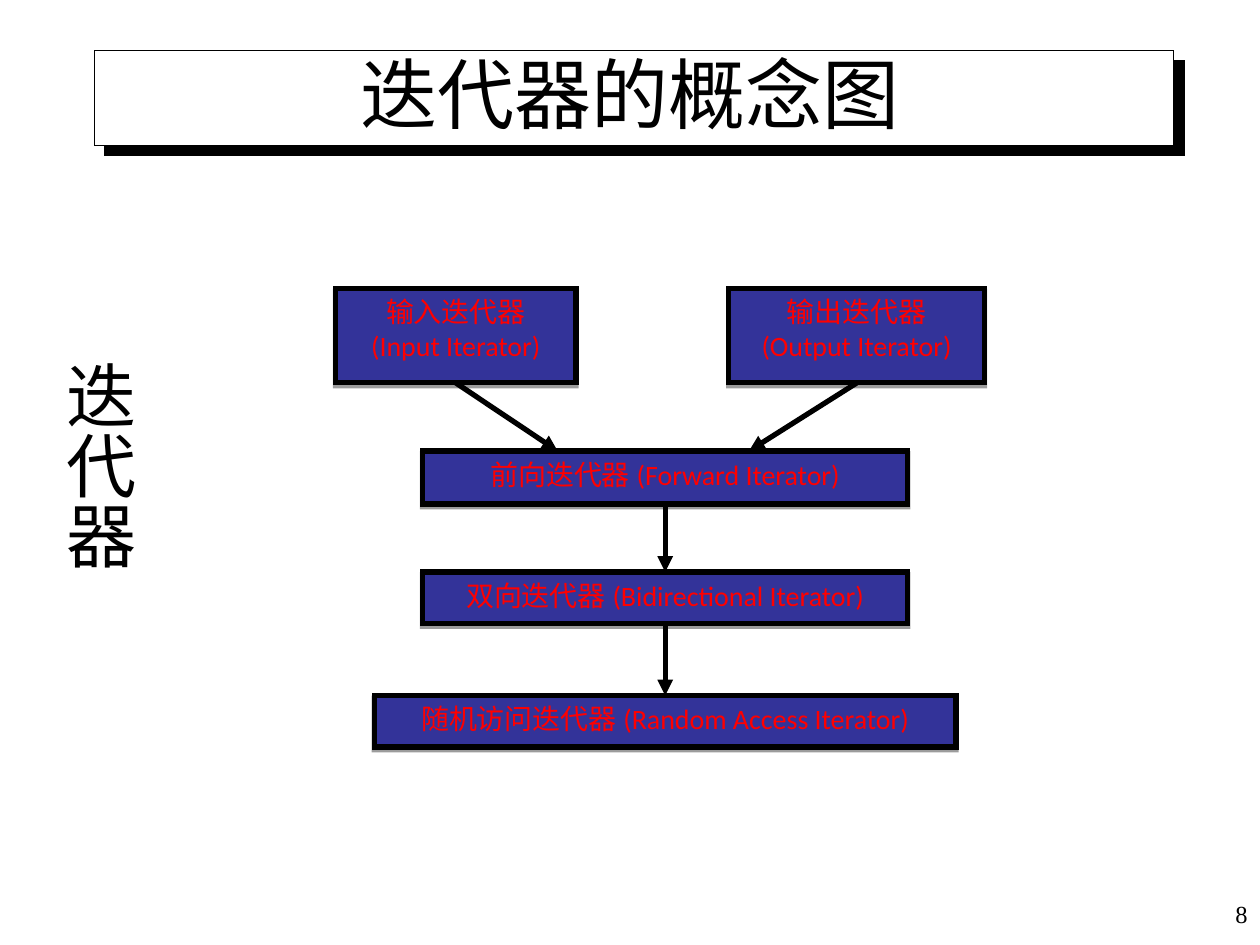
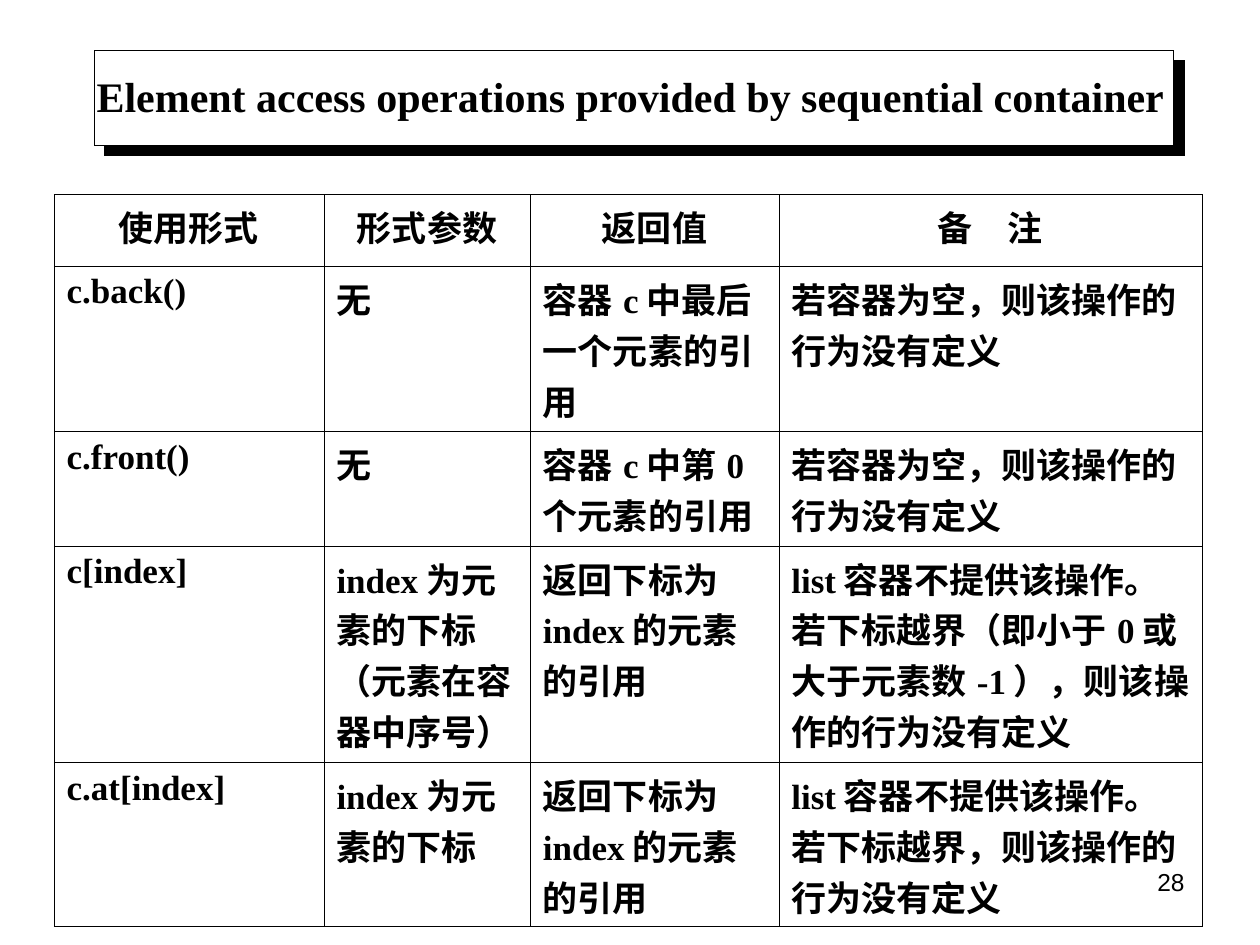
from lxml.etree import SubElement
from pptx import Presentation
from pptx.dml.color import RGBColor
from pptx.enum.shapes import MSO_CONNECTOR, MSO_SHAPE
from pptx.enum.text import MSO_ANCHOR, MSO_AUTO_SIZE, PP_ALIGN
from pptx.oxml import parse_xml
from pptx.oxml.ns import nsdecls, qn
from pptx.util import Cm, Pt

COLORS = {"ink": "000000", "paper": "FFFFFF", "node": "333399", "label": "FF0000"}
EAST_ASIAN = "Noto Sans CJK SC"
FORMATS = {
    "chinese_title": {"name": "Arial", "size": Pt(44), "bold": False},
    "english_title": {"name": "Times New Roman", "size": Pt(24), "bold": True},
    "node": {"name": "Calibri", "size": Pt(16)},
    "topic": {"name": EAST_ASIAN, "size": Pt(40)},
    "serif_number": {"name": "Times New Roman", "size": Pt(14)},
    "sans_number": {"name": "Arial", "size": Pt(14)},
    "cell": {"name": "Times New Roman", "size": Pt(20), "bold": True},
}

ITERATORS = {
    "input": ("输入迭代器\n(Input Iterator)", 2.42, 0, 4.85, 1.9),
    "output": ("输出迭代器\n(Output Iterator)", 10.5, 0, 5.16, 1.9),
    "forward": ("前向迭代器(Forward Iterator)", 6.64, 3.27, 9.78, 1.07),
    "bidirectional": ("双向迭代器(Bidirectional Iterator)", 6.64, 5.71, 9.78, 1.04),
    "random": ("随机访问迭代器(Random Access Iterator)", 6.64, 8.2, 11.73, 1.04),
}
REFINEMENTS = [
    ("input", "forward", -2.17),
    ("output", "forward", 1.69),
    ("forward", "bidirectional", 0),
    ("bidirectional", "random", 0),
]
OPERATIONS = [
    ("使用形式", "形式参数", "返回值", "备　注"),
    ("c.back()", "无", "容器c中最后一个元素的引用", "若容器为空，则该操作的行为没有定义"),
    ("c.front()", "无", "容器c中第0个元素的引用", "若容器为空，则该操作的行为没有定义"),
    ("c[index]", "index为元素的下标（元素在容器中序号）", "返回下标为index的元素的引用",
     "list容器不提供该操作。若下标越界（即小于0或大于元素数-1），则该操作的行为没有定义"),
    ("c.at[index]", "index为元素的下标", "返回下标为index的元素的引用",
     "list容器不提供该操作。若下标越界，则该操作的行为没有定义"),
]
COLUMN_WIDTHS = [5.44, 4.16, 5.01, 8.53]
ROW_HEIGHTS = [1.45, 3.33, 2.31, 4.36, 3.31]


def rgb(color):
    """Return the named colour."""
    return RGBColor.from_string(COLORS[color])


def apply(target, formats):
    """Set each attribute of the target from a dict."""
    for name, value in formats.items():
        setattr(target, name, value)


def place(part, box):
    """Move a part to a box of left, top, width and height in cm."""
    apply(part, dict(zip(("left", "top", "width", "height"), map(Cm, box))))


def write(frame, text, style, align=PP_ALIGN.CENTER, color="ink", anchor=MSO_ANCHOR.TOP):
    """Write one formatted paragraph into a text frame."""
    apply(frame, {"word_wrap": True, "vertical_anchor": anchor})
    paragraph = frame.paragraphs[0]
    apply(paragraph, {"text": text, "alignment": align})
    for run in paragraph.runs:
        apply(run.font, FORMATS[style])
        run.font.color.rgb = rgb(color)
        SubElement(run._r.get_or_add_rPr(), qn("a:ea"), typeface=EAST_ASIAN)


def add_panel(slide, box, fill, line_width, shadow):
    """Add an outlined rectangle with a hard shadow of opacity, distance and angle."""
    panel = slide.shapes.add_shape(MSO_SHAPE.RECTANGLE, *map(Cm, box))
    panel.fill.solid()
    panel.fill.fore_color.rgb = rgb(fill)
    panel.line.color.rgb = rgb("ink")
    panel.line.width = Pt(line_width)
    SubElement(panel.line._get_or_add_ln(), qn("a:miter"), lim="800000")
    opacity, distance, angle = shadow
    panel._element.spPr.append(parse_xml(
        f'<a:effectLst {nsdecls("a")}><a:outerShdw blurRad="0" dist="{Pt(distance)}" '
        f'dir="{angle * 60000}" algn="ctr" rotWithShape="0"><a:srgbClr val="{COLORS["ink"]}">'
        f'<a:alpha val="{opacity * 1000}"/></a:srgbClr></a:outerShdw></a:effectLst>'))
    return panel


def add_title_band(slide):
    """Give the slide's layout the shadowed band behind the title."""
    band = add_panel(slide, (1.9, 1.02, 21.76, 1.91), "paper", 0.75, (100, 8.5, 45))
    band._element.nvSpPr.cNvPr.set("id", "20")
    slide.slide_layout.shapes._spTree.insert(2, band._element)


def add_title(slide, box, text, style, anchor):
    """Place and write the title."""
    title = slide.shapes.title
    place(title, box)
    title.text_frame.auto_size = MSO_AUTO_SIZE.NONE
    write(title.text_frame, text, style, anchor=anchor)


def add_number(slide, box, text, style, anchor):
    """Add the right-aligned slide number."""
    number = slide.shapes.add_textbox(*map(Cm, box))
    write(number.text_frame, text, style, PP_ALIGN.RIGHT, anchor=anchor)


def add_topic(slide, box):
    """Add the vertical topic word, centred by equal end margins."""
    frame = slide.shapes.add_textbox(*map(Cm, box)).text_frame
    apply(frame, {"margin_left": Cm(0.13), "margin_right": Cm(0.13),
                  "margin_top": Cm(4.73), "margin_bottom": Cm(4.73)})
    write(frame, "迭代器", "topic")
    frame._txBody.bodyPr.set("vert", "eaVert")


def add_arrow(slide, start, end):
    """Add a thick arrow between two points in cm."""
    arrow = slide.shapes.add_connector(MSO_CONNECTOR.STRAIGHT, *map(Cm, start + end))
    arrow.line.color.rgb = rgb("ink")
    arrow.line.width = Pt(3)
    SubElement(arrow.line._get_or_add_ln(), qn("a:tailEnd"), type="triangle")
    SubElement(arrow._element.spPr, qn("a:effectLst"))


def add_hierarchy(slide, left, top):
    """Draw the iterator concepts and their refinements."""
    for text, center, offset, width, height in ITERATORS.values():
        box = (left + center - width / 2, top + offset, width, height)
        node = add_panel(slide, box, "node", 3, (38, 1.6, 90))
        write(node.text_frame, text, "node", color="label")
    for source, target, shift in REFINEMENTS:
        _, source_x, source_y, _, source_height = ITERATORS[source]
        _, target_x, target_y, _, _ = ITERATORS[target]
        add_arrow(slide, (left + source_x, top + source_y + source_height),
                  (left + target_x + shift, top + target_y))


def add_borders(cell):
    """Draw thin lines on all sides of a cell."""
    for index, side in enumerate("LRTB"):
        cell._tc.get_or_add_tcPr().insert(index, parse_xml(
            f'<a:ln{side} {nsdecls("a")} w="{Pt(0.34)}"><a:solidFill>'
            f'<a:srgbClr val="{COLORS["ink"]}"/></a:solidFill></a:ln{side}>'))


def add_operations(slide, left, top):
    """Add the table of element access operations."""
    size = (sum(COLUMN_WIDTHS), sum(ROW_HEIGHTS))
    table = slide.shapes.add_table(len(OPERATIONS), len(COLUMN_WIDTHS),
                                   *map(Cm, (left, top) + size)).table
    apply(table, {"first_row": False, "horz_banding": False})
    for column, width in zip(table.columns, COLUMN_WIDTHS):
        column.width = Cm(width)
    for row, height, texts in zip(table.rows, ROW_HEIGHTS, OPERATIONS):
        row.height = Cm(height)
        align = PP_ALIGN.CENTER if texts is OPERATIONS[0] else PP_ALIGN.LEFT
        for cell, text in zip(row.cells, texts):
            cell.fill.background()
            add_borders(cell)
            write(cell.text_frame, text, "cell", align)


def build_concept_slide(slide):
    """Build the iterator concept map."""
    add_title(slide, (1.27, 0.76, 22.86, 2.16), "迭代器的概念图", "chinese_title",
              MSO_ANCHOR.BOTTOM)
    add_number(slide, (20.12, 17.78, 5.28, 1.27), "8", "serif_number", MSO_ANCHOR.MIDDLE)
    add_hierarchy(slide, 6.77, 5.82)
    add_topic(slide, (0.76, 2.54, 2.21, 13.77))


def build_operations_slide(slide):
    """Build the table of container operations."""
    add_title(slide, (1.41, 1.12, 22.6, 1.6),
              "Element access operations provided by sequential container",
              "english_title", MSO_ANCHOR.MIDDLE)
    add_number(slide, (18.21, 17.35, 5.92, 1.32), "28", "sans_number", MSO_ANCHOR.TOP)
    add_operations(slide, 1.09, 3.92)


def main():
    """Build and save the presentation."""
    deck = Presentation()
    apply(deck, {"slide_width": Cm(25.4), "slide_height": Cm(19.05)})
    title_only = deck.slide_layouts[5]
    concept = deck.slides.add_slide(title_only)
    add_title_band(concept)
    build_concept_slide(concept)
    build_operations_slide(deck.slides.add_slide(title_only))
    deck.save("out.pptx")


if __name__ == "__main__":
    main()
